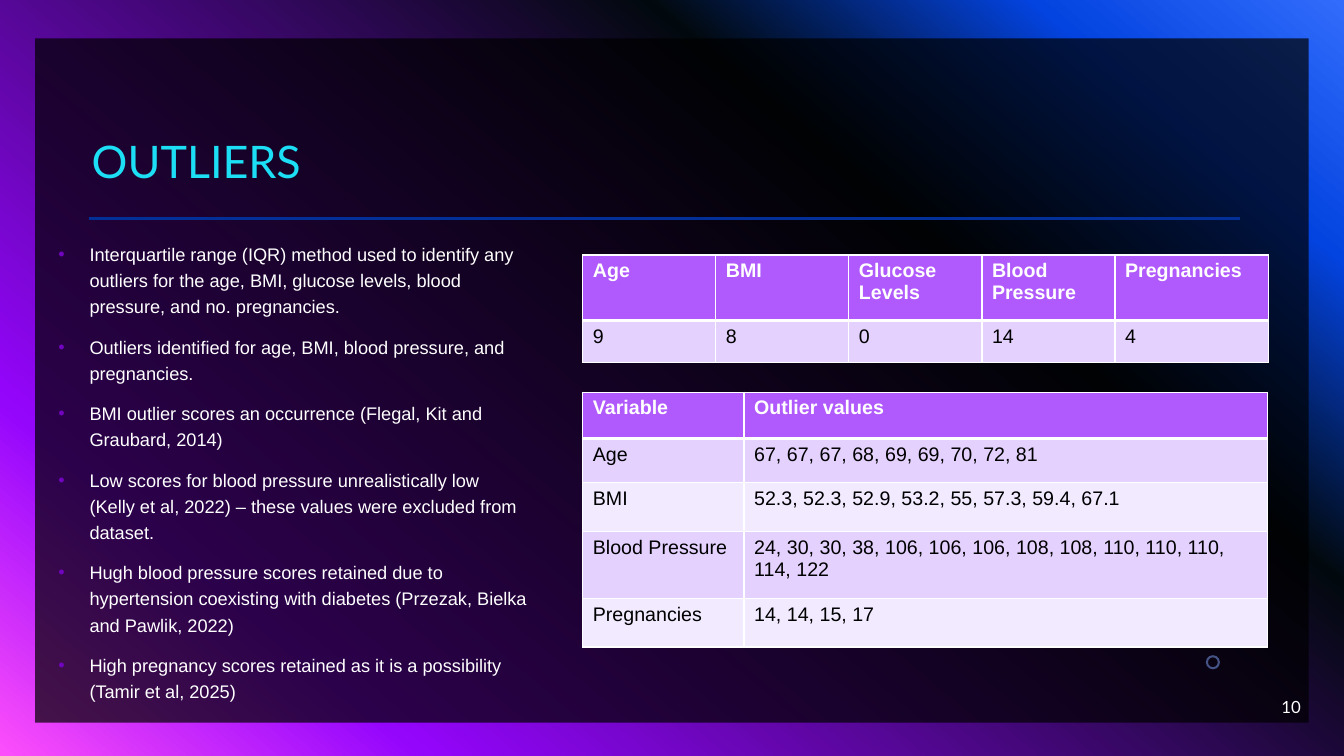
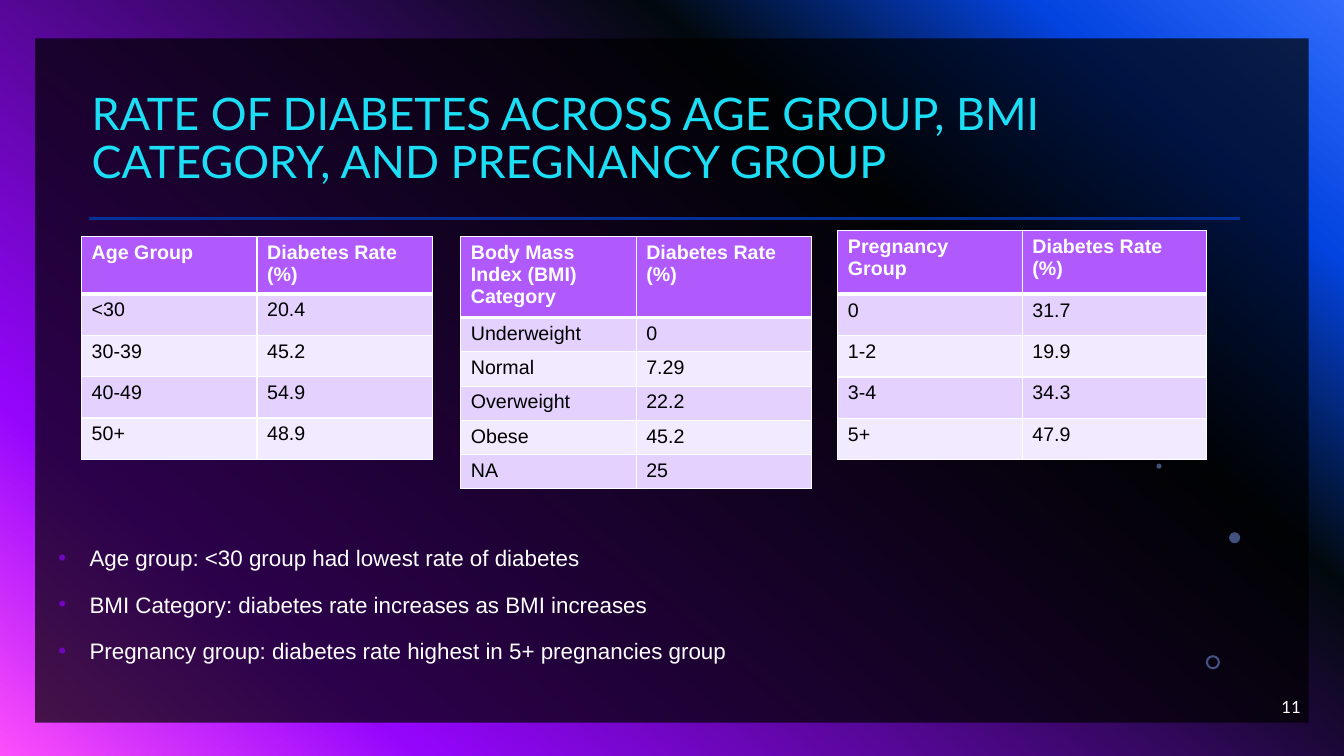
from dataclasses import dataclass

from lxml.etree import SubElement
from pptx import Presentation
from pptx.dml.color import RGBColor
from pptx.enum.shapes import MSO_CONNECTOR, MSO_SHAPE
from pptx.enum.text import MSO_ANCHOR, MSO_AUTO_SIZE, PP_ALIGN
from pptx.oxml.ns import qn
from pptx.util import Inches, Pt


@dataclass(frozen=True)
class Theme:
    heading_font: str = "Lato"
    body_font: str = "Arial"
    title_size: float = 32
    table_size: float = 14
    number_size: float = 12
    title: str = "1CDFF5"
    text: str = "FFFFFF"
    table_text: str = "000000"
    panel: str = "000000"
    rule: str = "032F98"
    bullet: str = "7104BF"
    ornament: str = "83A7FD"
    header: str = "B059FD"
    bands: tuple = ("E4D1FE", "F2EAFF")
    border: str = "FFFFFF"
    gradient: tuple = (
        (0, "316CFC"), (14, "0343DF"), (31, "02090E"), (81, "9405FC"), (100, "FC4EFB"),
    )
    gradient_angle: int = 130


@dataclass(frozen=True)
class Box:
    left: float
    top: float
    width: float
    height: float

    def lengths(self):
        return [Inches(value) for value in (self.left, self.top, self.width, self.height)]


THEME = Theme()
PANEL = Box(0.35, 0.38, 12.63, 6.79)
TITLE = Box(0.81, 0.47, 11.48, 1.45)
NUMBER = Box(10, 6.81, 3, 0.4)
RULE = Box(0.88, 2.17, 11.42, 0)
ORNAMENTS = (
    (MSO_SHAPE.DONUT, Box(11.96, 6.5, 0.14, 0.14)),
    (MSO_SHAPE.OVAL, Box(12.19, 5.28, 0.11, 0.11)),
    (MSO_SHAPE.OVAL, Box(11.47, 4.6, 0.05, 0.05)),
)


def assign(target, values):
    for name, value in values.items():
        setattr(target, name, value)


def style_run(run, font, size, color, bold=False):
    assign(run.font, {"name": font, "size": Pt(size), "bold": bold})
    run.font.color.rgb = RGBColor.from_string(color)


def set_background(master):
    fill = master.background.fill
    fill.gradient()
    gradient = next(master.element.iter(qn("a:gradFill")))
    for child in list(gradient):
        gradient.remove(child)
    stops = SubElement(gradient, qn("a:gsLst"))
    for position, color in THEME.gradient:
        stop = SubElement(stops, qn("a:gs"), pos=str(position * 1000))
        SubElement(stop, qn("a:srgbClr"), val=color)
    angle = str(THEME.gradient_angle * 60000)
    SubElement(gradient, qn("a:lin"), ang=angle, scaled="0")


def add_translucent_shape(slide, kind, box, color, opacity):
    shape = slide.shapes.add_shape(kind, *box.lengths())
    shape.shadow.inherit = False
    shape.fill.solid()
    shape.fill.fore_color.rgb = RGBColor.from_string(color)
    shape.line.fill.background()
    fill_color = next(shape.element.spPr.iter(qn("a:srgbClr")))
    SubElement(fill_color, qn("a:alpha"), val=str(opacity * 1000))
    return shape


def add_decoration(slide):
    add_translucent_shape(slide, MSO_SHAPE.RECTANGLE, PANEL, THEME.panel, 70)
    left, top, width, height = RULE.lengths()
    rule = slide.shapes.add_connector(
        MSO_CONNECTOR.STRAIGHT, left, top, left + width, top + height
    )
    rule.line.width = Pt(2)
    rule.line.color.rgb = RGBColor.from_string(THEME.rule)
    SubElement(rule.element.spPr, qn("a:effectLst"))
    for kind, box in ORNAMENTS:
        ornament = add_translucent_shape(slide, kind, box, THEME.ornament, 49)
        if kind == MSO_SHAPE.DONUT:
            ornament.adjustments[0] = 0.15


def place_title(slide, text, box):
    title = slide.shapes.title
    title.element.getparent().append(title.element)
    assign(title, dict(zip(("left", "top", "width", "height"), box.lengths())))
    assign(title.text_frame, {
        "word_wrap": True,
        "auto_size": MSO_AUTO_SIZE.NONE,
        "vertical_anchor": MSO_ANCHOR.BOTTOM,
    })
    paragraph = title.text_frame.paragraphs[0]
    assign(paragraph, {"alignment": PP_ALIGN.LEFT, "line_spacing": 0.9})
    run = paragraph.add_run()
    run.text = text
    style_run(run, THEME.heading_font, THEME.title_size, THEME.title)


def add_slide_number(slide, number, box):
    frame = slide.shapes.add_textbox(*box.lengths()).text_frame
    assign(frame, {"word_wrap": True, "vertical_anchor": MSO_ANCHOR.MIDDLE})
    paragraph = frame.paragraphs[0]
    paragraph.alignment = PP_ALIGN.RIGHT
    run = paragraph.add_run()
    run.text = str(number)
    style_run(run, THEME.heading_font, THEME.number_size, THEME.text)


def add_bullets(slide, items, box, size):
    frame = slide.shapes.add_textbox(*box.lengths()).text_frame
    frame.word_wrap = True
    for index, item in enumerate(items):
        paragraph = frame.add_paragraph() if index else frame.paragraphs[0]
        paragraph.line_spacing = 1.2
        if index:
            paragraph.space_before = Pt(10)
        properties = paragraph._p.get_or_add_pPr()
        properties.set("marL", str(Inches(0.31)))
        properties.set("indent", str(-Inches(0.31)))
        bullet_color = SubElement(properties, qn("a:buClr"))
        SubElement(bullet_color, qn("a:srgbClr"), val=THEME.bullet)
        SubElement(properties, qn("a:buFont"), typeface=THEME.body_font)
        SubElement(properties, qn("a:buChar"), char="•")
        run = paragraph.add_run()
        run.text = item
        style_run(run, THEME.body_font, size, THEME.text)


def set_borders(cell, row_index):
    widths = {
        "a:lnL": 1,
        "a:lnR": 1,
        "a:lnT": 3 if row_index == 1 else 1,
        "a:lnB": 3 if row_index == 0 else 1,
    }
    properties = cell._tc.get_or_add_tcPr()
    for tag, width in widths.items():
        line = SubElement(properties, qn(tag), w=str(Pt(width)))
        fill = SubElement(line, qn("a:solidFill"))
        SubElement(fill, qn("a:srgbClr"), val=THEME.border)


def add_data_table(slide, rows, left, top, column_widths, row_heights):
    box = Box(left, top, sum(column_widths), sum(row_heights))
    table = slide.shapes.add_table(len(rows), len(rows[0]), *box.lengths()).table
    table.horz_banding = False
    for column, width in zip(table.columns, column_widths):
        column.width = Inches(width)
    for row_index, values in enumerate(rows):
        table.rows[row_index].height = Inches(row_heights[row_index])
        is_header = row_index == 0
        fill = THEME.header if is_header else THEME.bands[(row_index - 1) % 2]
        color = THEME.text if is_header else THEME.table_text
        for column_index, value in enumerate(values):
            cell = table.cell(row_index, column_index)
            set_borders(cell, row_index)
            cell.fill.solid()
            cell.fill.fore_color.rgb = RGBColor.from_string(fill)
            run = cell.text_frame.paragraphs[0].add_run()
            run.text = value
            style_run(run, THEME.body_font, THEME.table_size, color, is_header)


def add_base_slide(presentation, title, number):
    slide = presentation.slides.add_slide(presentation.slide_layouts[5])
    add_decoration(slide)
    place_title(slide, title, TITLE)
    add_slide_number(slide, number, NUMBER)
    return slide


def build_outliers(presentation):
    slide = add_base_slide(presentation, "OUTLIERS", 10)
    findings = (
        "Interquartile range (IQR) method used to identify any outliers for the age, "
        "BMI, glucose levels, blood pressure, and no. pregnancies.",
        "Outliers identified for age, BMI, blood pressure, and pregnancies.",
        "BMI outlier scores an occurrence (Flegal, Kit and Graubard, 2014)",
        "Low scores for blood pressure unrealistically low (Kelly et al, 2022) – "
        "these values were excluded from dataset.",
        "Hugh blood pressure scores retained due to hypertension coexisting with "
        "diabetes (Przezak, Bielka and Pawlik, 2022)",
        "High pregnancy scores retained as it is a possibility (Tamir et al, 2025)",
    )
    add_bullets(slide, findings, Box(0.48, 2.32, 4.84, 4.71), 13)
    counts = (
        ("Age", "BMI", "Glucose Levels", "Blood Pressure", "Pregnancies"),
        ("9", "8", "0", "14", "4"),
    )
    add_data_table(slide, counts, 5.78, 2.53, [1.32] * 4 + [1.52], [0.65, 0.42])
    outlier_values = (
        ("Variable", "Outlier values"),
        ("Age", "67, 67, 67, 68, 69, 69, 70, 72, 81"),
        ("BMI", "52.3, 52.3, 52.9, 53.2, 55, 57.3, 59.4, 67.1"),
        ("Blood Pressure",
         "24, 30, 30, 38, 106, 106, 106, 108, 108, 110, 110, 110, 114, 122"),
        ("Pregnancies", "14, 14, 15, 17"),
    )
    add_data_table(
        slide, outlier_values, 5.78, 3.89, [1.6, 5.19], [0.46, 0.44, 0.48, 0.67, 0.48]
    )


def build_diabetes_rates(presentation):
    slide = add_base_slide(
        presentation,
        "RATE OF DIABETES ACROSS AGE GROUP, BMI CATEGORY, AND PREGNANCY GROUP",
        11,
    )
    conclusions = (
        "Age group: <30 group had lowest rate of diabetes",
        "BMI Category: diabetes rate increases as BMI increases",
        "Pregnancy group: diabetes rate highest in 5+ pregnancies group",
    )
    add_bullets(slide, conclusions, Box(0.48, 5.3, 12.51, 1.73), 16)
    age_rates = (("<30", "20.4"), ("30-39", "45.2"), ("40-49", "54.9"), ("50+", "48.9"))
    bmi_rates = (
        ("Underweight", "0"), ("Normal", "7.29"), ("Overweight", "22.2"),
        ("Obese", "45.2"), ("NA", "25"),
    )
    pregnancy_rates = (("0", "31.7"), ("1-2", "19.9"), ("3-4", "34.3"), ("5+", "47.9"))
    rate_tables = (
        ("Age Group", age_rates, 0.81, 2.35, 1.74, 0.53, 0.41),
        ("Body Mass Index (BMI) Category", bmi_rates, 4.57, 2.35, 1.74, 0.75, 0.34),
        ("Pregnancy Group", pregnancy_rates, 8.31, 2.29, 1.83, 0.63, 0.41),
    )
    for group, rates, left, top, width, header_height, row_height in rate_tables:
        rows = ((group, "Diabetes Rate (%)"), *rates)
        heights = [header_height] + [row_height] * len(rates)
        add_data_table(slide, rows, left, top, [width] * 2, heights)


def main():
    presentation = Presentation()
    assign(presentation, {"slide_width": Inches(13.33), "slide_height": Inches(7.5)})
    set_background(presentation.slide_master)
    build_outliers(presentation)
    build_diabetes_rates(presentation)
    presentation.save("out.pptx")


if __name__ == "__main__":
    main()
